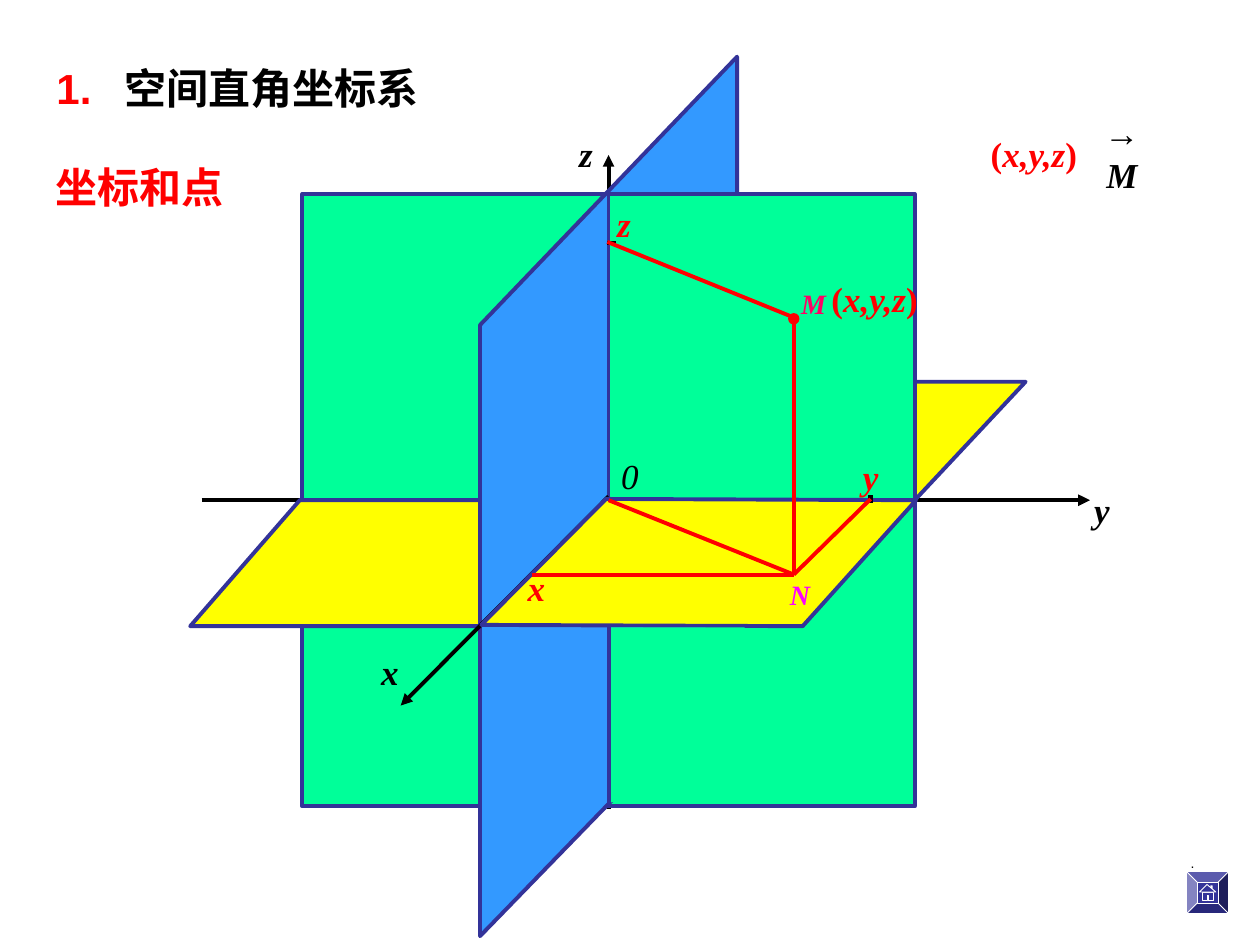
from dataclasses import dataclass
from typing import Optional

from lxml.etree import SubElement
from pptx import Presentation
from pptx.dml.color import RGBColor
from pptx.enum.shapes import MSO_CONNECTOR, MSO_SHAPE
from pptx.enum.text import MSO_ANCHOR, PP_ALIGN
from pptx.oxml.ns import qn
from pptx.util import Inches, Pt

SERIF, SANS = "Times New Roman", "Arial"
BLACK, WHITE, RED = "000000", "FFFFFF", "FF0000"
GREEN, YELLOW, BLUE, EDGE = "00FF99", "FFFF00", "3399FF", "333399"
LINE_WIDTH = 2.25
QUADRANT = 2.43
ORIGIN = (4.83, 3.97)
POINT_M, POINT_N = (6.3, 2.52), (6.3, 4.56)
FOOT_X, FOOT_Y, FOOT_Z = (4.22, 4.56), (6.91, 3.96), (4.82, 1.92)


@dataclass
class Run:
    text: str
    size: float = 20
    color: str = BLACK
    font: str = SERIF
    bold: bool = True
    italic: bool = True


@dataclass
class Label:
    left: float
    top: float
    width: float
    height: float
    lines: list[list[Run]]
    align: PP_ALIGN = PP_ALIGN.CENTER


@dataclass
class Segment:
    start: tuple[float, float]
    end: tuple[float, float]
    color: str = RED
    width: float = LINE_WIDTH
    arrow: bool = False


@dataclass
class Plane:
    points: list[tuple[float, float]]
    fill: str
    edge: Optional[str] = EDGE
    width: float = LINE_WIDTH


def rgb(color: str) -> RGBColor:
    return RGBColor.from_string(color)


def paint(shape, fill: str, edge: Optional[str] = None, width: float = LINE_WIDTH) -> None:
    shape.shadow.inherit = False
    shape.fill.solid()
    shape.fill.fore_color.rgb = rgb(fill)
    if edge is None:
        shape.line.fill.background()
    else:
        shape.line.color.rgb = rgb(edge)
        shape.line.width = Pt(width)


def write(paragraph, runs: list[Run], align: PP_ALIGN) -> None:
    paragraph.alignment = align
    for item in runs:
        run = paragraph.add_run()
        run.text = item.text
        formats = {"size": Pt(item.size), "name": item.font,
                   "bold": item.bold, "italic": item.italic}
        for name, value in formats.items():
            setattr(run.font, name, value)
        run.font.color.rgb = rgb(item.color)


def draw_label(shapes, label: Label) -> None:
    box = shapes.add_textbox(*map(Inches, (label.left, label.top, label.width, label.height)))
    frame = box.text_frame
    frame.word_wrap = False
    frame.vertical_anchor = MSO_ANCHOR.MIDDLE
    for index, runs in enumerate(label.lines):
        paragraph = frame.add_paragraph() if index else frame.paragraphs[0]
        write(paragraph, runs, label.align)


def draw_segment(shapes, segment: Segment) -> None:
    line = shapes.add_connector(MSO_CONNECTOR.STRAIGHT,
                                *map(Inches, segment.start + segment.end))
    line.line.color.rgb = rgb(segment.color)
    line.line.width = Pt(segment.width)
    properties = line.element.spPr
    if segment.arrow:
        SubElement(properties.find(qn("a:ln")), qn("a:tailEnd"), type="triangle")
    SubElement(properties, qn("a:effectLst"))


def draw_plane(shapes, plane: Plane) -> None:
    first, *rest = [(Inches(x), Inches(y)) for x, y in plane.points]
    builder = shapes.build_freeform(*first)
    builder.add_line_segments(rest, close=True)
    paint(builder.convert_to_shape(), plane.fill, plane.edge, plane.width)


def draw_preset(shapes, kind, left: float, top: float, width: float, height: float,
                fill: str, edge: Optional[str] = None, line_width: float = LINE_WIDTH):
    shape = shapes.add_shape(kind, *map(Inches, (left, top, width, height)))
    paint(shape, fill, edge, line_width)
    return shape


def draw_quadrant(shapes, right: bool, lower: bool) -> None:
    """Draw one quarter of the yz plane."""
    left = ORIGIN[0] - (0 if right else QUADRANT)
    top = ORIGIN[1] - (0 if lower else QUADRANT)
    draw_preset(shapes, MSO_SHAPE.RECTANGLE, left, top, QUADRANT, QUADRANT, GREEN, EDGE)


def draw_planes(shapes) -> None:
    """Draw axes and planes from back to front."""
    draw_segment(shapes, Segment((1.6, 3.97), (8.65, 3.97), BLACK, arrow=True))
    draw_segment(shapes, Segment((4.83, 6.42), (4.83, 1.23), BLACK, arrow=True))
    back_xy = Plane([(7.26, 3.03), (7.26, 3.97), (8.14, 3.03)], YELLOW)
    left_xy = Plane([(1.51, 4.97), (3.87, 4.97), (4.81, 3.97), (2.38, 3.97)], YELLOW)
    xz = Plane([(5.85, 0.45), (3.81, 2.58), (3.81, 7.43), (5.85, 5.33)], BLUE)
    front_xy = Plane([(3.82, 4.96), (6.37, 4.97), (7.27, 3.97), (4.81, 3.96)], YELLOW)
    lower_cover = Plane([(4.83, 4.98), (4.83, 6.37), (4.92, 6.36), (5.91, 5.4), (5.91, 4.98)],
                        GREEN, None)
    for right, lower in ((False, True), (True, True), (False, False)):
        draw_quadrant(shapes, right, lower)
    for plane in (back_xy, left_xy, xz):
        draw_plane(shapes, plane)
    draw_quadrant(shapes, right=True, lower=False)
    draw_segment(shapes, Segment((4.83, 3.94), (3.18, 5.6), BLACK, arrow=True))
    for plane in (front_xy, lower_cover):
        draw_plane(shapes, plane)
    draw_segment(shapes, Segment((4.83, 4.98), (4.83, 6.39), EDGE))


def draw_point(shapes) -> None:
    """Draw M with its projections."""
    draw_preset(shapes, MSO_SHAPE.OVAL, 6.26, 2.49, 0.08, 0.08, RED, RED, 0.75)
    segments = [
        Segment((6.91, 3.93), (6.91, 3.99), BLACK, 3),
        Segment((4.82, 1.93), (4.89, 1.93), BLACK),
        Segment(POINT_M, POINT_N),
        Segment(ORIGIN, POINT_N),
        Segment(POINT_N, FOOT_X),
        Segment(POINT_N, FOOT_Y),
        Segment(FOOT_Z, POINT_M),
    ]
    for segment in segments:
        draw_segment(shapes, segment)


def draw_labels(shapes) -> None:
    left = PP_ALIGN.LEFT
    coordinates = [Run("(", color=RED, italic=False), Run("x,y,z", color=RED),
                   Run(")", color=RED, italic=False)]
    labels = [
        Label(4.17, 1, 0.96, 0.44, [[Run("z")]]),
        Label(8.47, 3.82, 0.55, 0.44, [[Run("y")]]),
        Label(2.71, 5.11, 0.77, 0.44, [[Run("x")]]),
        Label(4.83, 3.55, 0.34, 0.44, [[Run("0", bold=False)]]),
        Label(6.26, 2.22, 0.39, 0.37, [[Run("M", 16, "FF0066")]], left),
        Label(6.17, 4.53, 0.36, 0.37, [[Run("N", 16, "FF00FF")]], left),
        Label(4.09, 4.44, 0.34, 0.44, [[Run("x", color=RED)]], left),
        Label(6.75, 3.56, 0.32, 0.44, [[Run("y", color=RED)]], left),
        Label(4.8, 1.55, 0.31, 0.44, [[Run("z", color=RED)]], left),
        Label(6.5, 2.15, 0.89, 0.44, [coordinates], left),
        Label(7.76, 1, 0.89, 0.44, [coordinates]),
        Label(0.34, 1.23, 1.53, 0.5, [[Run("坐标和点", 24, RED, italic=False)]]),
        Label(8.5, 1, 0.81, 0.44, [[Run("→", font=SANS, italic=False)], [Run("M")]]),
    ]
    for label in labels:
        draw_label(shapes, label)


def draw_heading(shapes) -> None:
    heading = draw_preset(shapes, MSO_SHAPE.RECTANGLE, 0.35, 0.45, 3.13, 0.43, WHITE)
    heading.text_frame.vertical_anchor = MSO_ANCHOR.TOP
    paragraph = heading.text_frame.paragraphs[0]
    tabs = SubElement(paragraph._p.get_or_add_pPr(), qn("a:tabLst"))
    SubElement(tabs, qn("a:tab"), pos=str(Inches(0.54)), algn="l")
    write(paragraph, [Run("1.\t", 24, RED, SANS, italic=False),
                      Run("空间直角坐标系", 24, BLACK, SANS, italic=False)], PP_ALIGN.LEFT)


def draw_home_button(shapes) -> None:
    button = draw_preset(shapes, MSO_SHAPE.BEVEL, 9.42, 6.92, 0.33, 0.33, EDGE, WHITE, 0.5)
    button.adjustments[0] = 0.25
    chimney = [(9.61, 7.04), (9.61, 7.03), (9.62, 7.03), (9.62, 7.06)]
    walls = [(9.54, 7.08), (9.63, 7.08), (9.63, 7.15), (9.54, 7.15)]
    roof = [(9.58, 7.02), (9.65, 7.08), (9.52, 7.08)]
    door = [(9.58, 7.11), (9.59, 7.11), (9.59, 7.15), (9.58, 7.15)]
    for part in (chimney, walls, roof, door):
        draw_plane(shapes, Plane(part, EDGE, WHITE, 0.5))


def place_title(title) -> None:
    box = {"left": 9.34, "top": 6.67, "width": 0.25, "height": 0.35}
    for name, value in box.items():
        setattr(title, name, Inches(value))
    title.text_frame.vertical_anchor = MSO_ANCHOR.MIDDLE
    write(title.text_frame.paragraphs[0],
          [Run(".", 8, BLACK, SANS, bold=False, italic=False)], PP_ALIGN.CENTER)


def main() -> None:
    deck = Presentation()
    deck.slide_width, deck.slide_height = Inches(10), Inches(7.5)
    title_only = deck.slide_layouts[5]
    shapes = deck.slides.add_slide(title_only).shapes
    place_title(shapes.title)
    for draw in (draw_planes, draw_point, draw_labels, draw_heading, draw_home_button):
        draw(shapes)
    deck.save("out.pptx")


if __name__ == "__main__":
    main()
